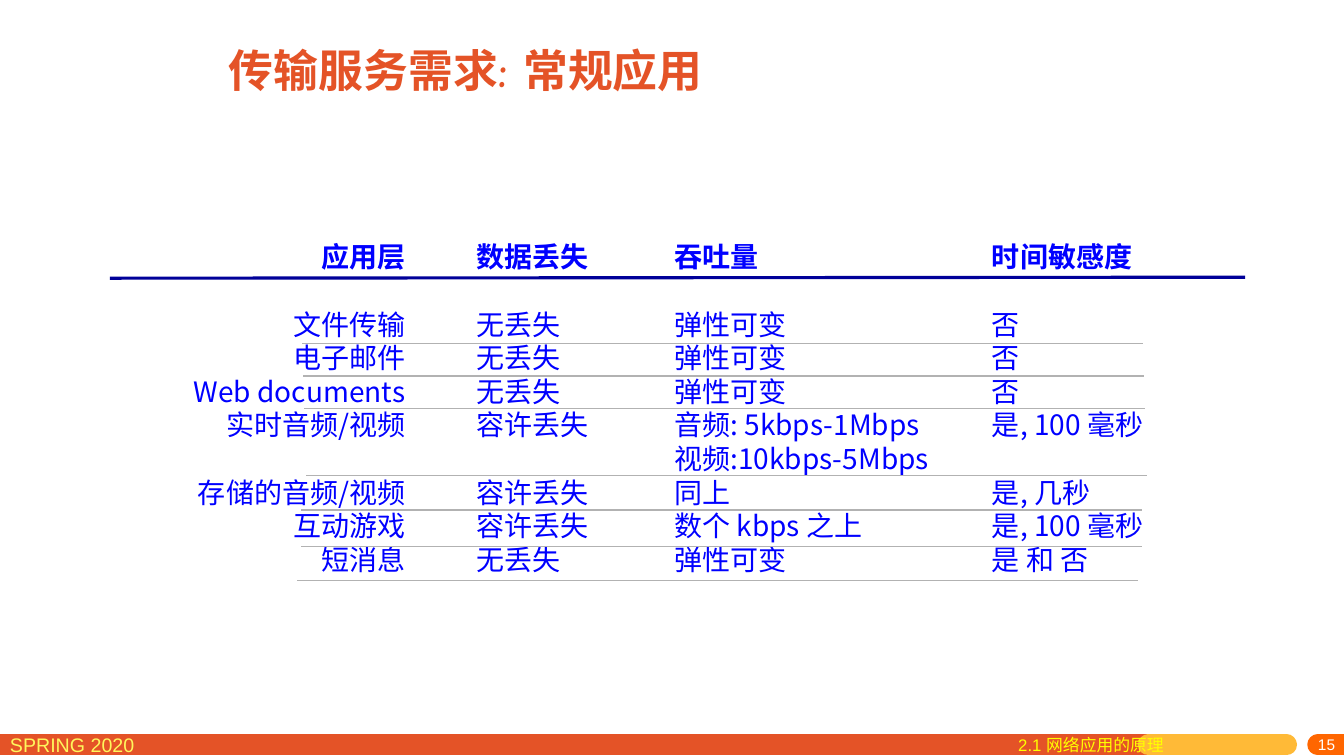
from lxml.etree import SubElement
from pptx import Presentation
from pptx.dml.color import RGBColor
from pptx.enum.shapes import MSO_CONNECTOR
from pptx.enum.text import MSO_ANCHOR, PP_ALIGN
from pptx.oxml.ns import qn
from pptx.util import Inches, Pt

ORANGE, YELLOW, BLUE = "E45327", "FFBA37", "0000FF"
HEADER_GAP = 24
COLUMNS = [
    (0.63, 2.4, PP_ALIGN.RIGHT, False,
     ["应用层", "文件传输", "电子邮件", "Web documents", "实时音频/视频", None,
      "存储的音频/视频", "互动游戏", "短消息"]),
    (3.54, 1.33, PP_ALIGN.LEFT, False,
     ["数据丢失", "无丢失", "无丢失", "无丢失", "容许丢失", None,
      "容许丢失", "容许丢失", "无丢失"]),
    (5.5, 3.06, PP_ALIGN.LEFT, True,
     ["吞吐量", "弹性可变", "弹性可变", "弹性可变", "音频: 5kbps-1Mbps",
      "视频:10kbps-5Mbps", "同上", "数个 kbps 之上", "弹性可变"]),
    (8.65, 2.61, PP_ALIGN.LEFT, True,
     ["时间敏感度", "否", "否", "否", "是, 100 毫秒", None,
      "是, 几秒", "是, 100 毫秒", "是 和 否"]),
]
ROW_RULES = [(1.91, 1.08), (1.92, 1.4), (1.93, 1.72), (1.95, 2.39),
             (1.9, 2.73), (1.9, 3.09), (1.86, 3.43)]
RULE_LENGTH = 8.34


def rgb(value):
    """Turn a hex string into a colour."""
    return RGBColor.from_string(value)


def style(paragraph, size, color, font, bold=False, east_asian=None):
    """Set the font of a whole paragraph."""
    paragraph.font.size = Pt(size)
    paragraph.font.bold = bold
    paragraph.font.name = font
    paragraph.font.color.rgb = rgb(color)
    if east_asian:
        defaults = paragraph._p.pPr.find(qn("a:defRPr"))
        SubElement(defaults, qn("a:ea")).set("typeface", east_asian)


def add_line(slide, start, end, color, width, round_cap=False):
    """Draw a straight line without shadow."""
    line = slide.shapes.add_connector(
        MSO_CONNECTOR.STRAIGHT, *(Inches(length) for length in (*start, *end)))
    line.line.color.rgb = rgb(color)
    line.line.width = Pt(width)
    if round_cap:
        line.line._get_or_add_ln().set("cap", "rnd")
    SubElement(line._element.spPr, qn("a:effectLst"))


def add_label(slide, left, top, width, height, text, size, color):
    """Add a one-line Arial label and return its frame."""
    frame = slide.shapes.add_textbox(
        Inches(left), Inches(top), Inches(width), Inches(height)).text_frame
    frame.word_wrap = True
    frame.text = text
    style(frame.paragraphs[0], size, color, "Arial")
    return frame


def add_title(slide, left, top, width, height):
    """Place and format the title."""
    title = slide.shapes.title
    title.left, title.top = Inches(left), Inches(top)
    title.width, title.height = Inches(width), Inches(height)
    title.text_frame.text = "传输服务需求: 常规应用"
    title.text_frame.vertical_anchor = MSO_ANCHOR.MIDDLE
    heading = title.text_frame.paragraphs[0]
    heading.alignment = PP_ALIGN.LEFT
    style(heading, 32, ORANGE, "Comic Neue", True, "Noto Sans CJK SC")


def add_column(slide, left, top, width, height, align, wrap, entries):
    """Write one column, a None entry leaving its row empty."""
    frame = slide.shapes.add_textbox(
        Inches(left), Inches(top), Inches(width), Inches(height)).text_frame
    frame.word_wrap = wrap
    gap = 0
    for index, entry in enumerate(entries):
        if entry is None:
            gap = HEADER_GAP
            continue
        paragraph = frame.add_paragraph() if index else frame.paragraphs[0]
        paragraph.text = entry
        paragraph.alignment = align
        paragraph.line_spacing = Pt(24)
        paragraph.space_before = Pt(HEADER_GAP if index == 1 else gap)
        style(paragraph, 20, BLUE, "Noto Sans CJK SC", index == 0, "Noto Sans CJK SC")
        gap = 0


def add_requirements(slide, left, top, width, height):
    """Lay out the requirement columns and their rules."""
    for offset, column_width, align, wrap, entries in COLUMNS:
        add_column(slide, left + offset, top, column_width, height, align, wrap, entries)
    add_line(slide, (left, top + 0.43), (left + width, top + 0.42), "000099", 2.25)
    for x, y in ROW_RULES:
        add_line(slide, (left + x, top + y), (left + x + RULE_LENGTH, top + y), "B2B2B2", 1)


def add_footer(slide, left, top, width):
    """Draw the footer bars with term, section and page number."""
    middle = top + 0.17
    for start, end, color in [(0, 11.39, ORANGE), (11.39, 12.76, YELLOW),
                              (13.07, width, "FF6600")]:
        add_line(slide, (left + start, middle), (left + end, middle), color, 15, True)
    add_label(slide, left, top, 2.29, 0.31, "SPRING 2020", 14, "FFF65C")
    page = add_label(slide, left + 10.75, top + 0.1, 2.59, 0.18, "15", 11, "FFFFFF")
    page.margin_top, page.margin_bottom = 0, Inches(0.05)
    page.vertical_anchor = MSO_ANCHOR.MIDDLE
    page.paragraphs[0].alignment = PP_ALIGN.RIGHT
    add_label(slide, left + 10, top + 0.02, 2.91, 0.31, "2.1 网络应用的原理", 12, "FFFF00")


def main():
    """Build and save the slide."""
    deck = Presentation()
    deck.slide_width, deck.slide_height = Inches(13.33), Inches(7.5)
    slide = deck.slides.add_slide(deck.slide_layouts[5])
    add_footer(slide, 0, 7.22, 13.33)
    add_title(slide, 2.17, 0.25, 5.13, 0.89)
    add_requirements(slide, 1.09, 2.33, 11.26, 3.47)
    deck.save("out.pptx")


if __name__ == "__main__":
    main()
